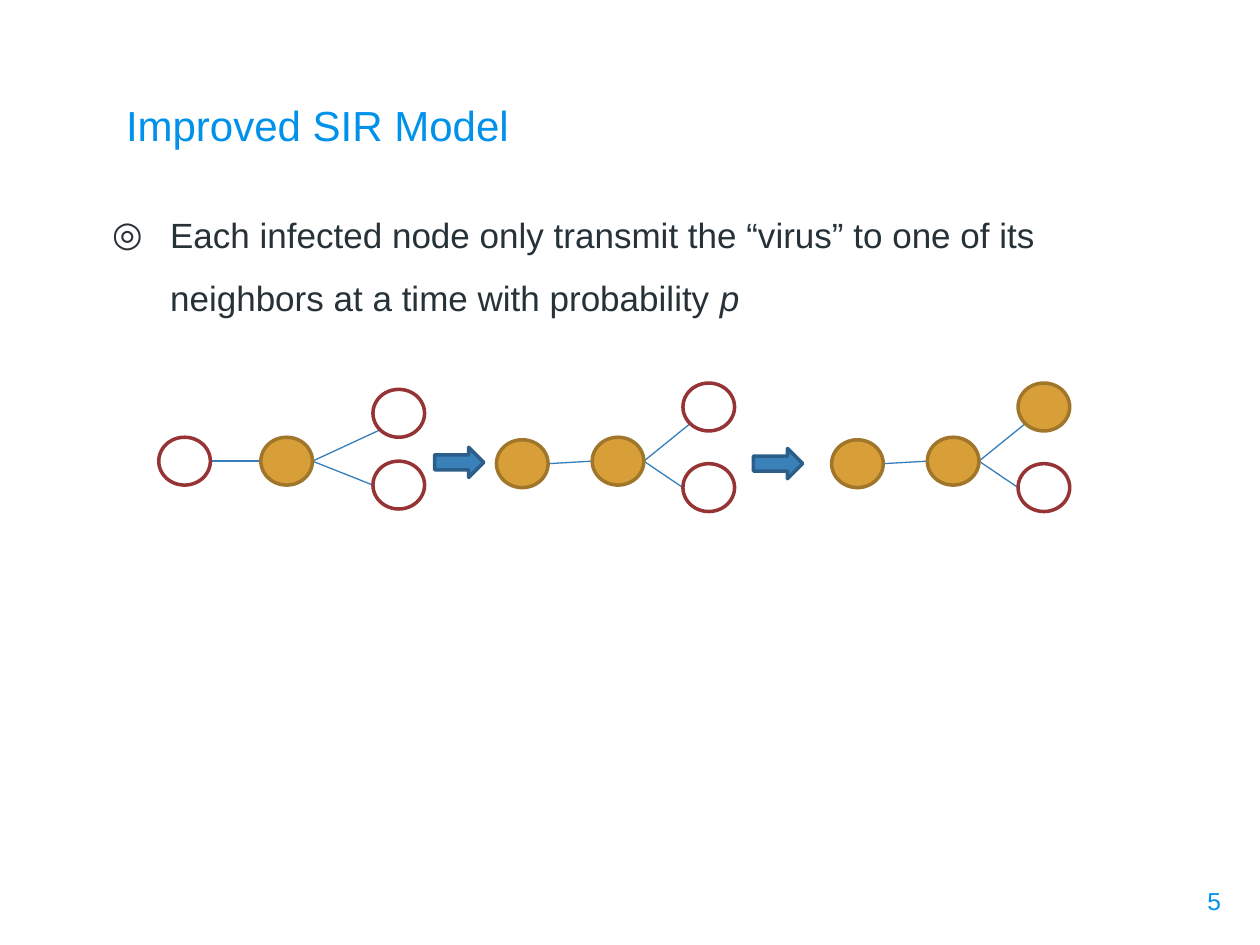
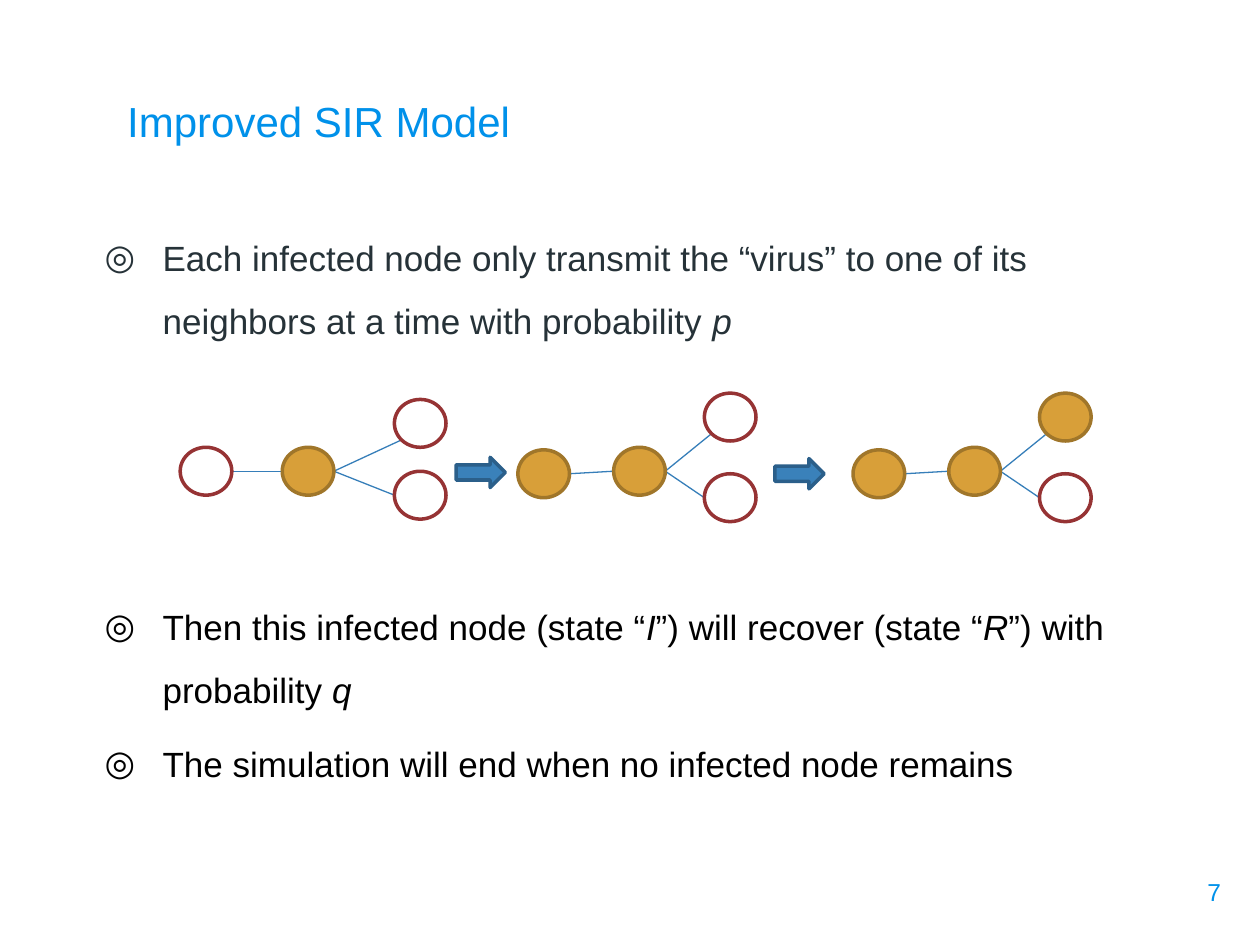
from dataclasses import dataclass

from lxml import etree
from pptx import Presentation
from pptx.dml.color import RGBColor
from pptx.enum import shapes, text
from pptx.oxml.ns import qn
from pptx.util import Inches, Pt


@dataclass(frozen=True)
class Theme:
    """Colours, font and sizes shared by the slides."""
    font: str = "Arial"
    blue: str = "0091EA"
    ink: str = "263238"
    black: str = "000000"
    edge: str = "367EB9"
    arrow: tuple = ("3A81BA", "2B5F8A")
    sick: tuple = ("D89F39", "A0762A")
    well: tuple = ("FFFFFF", "963334")
    title: int = 24
    body: int = 20
    page: int = 14
    wide: float = 0.41
    high: float = 0.38


T = Theme()
FORK = ((0, 0.43), (0.81, 0.43), (1.7, 0.05), (1.7, 0.62))
SPREAD = ((0, 0.45), (0.76, 0.43), (1.48, 0), (1.48, 0.64))
STAGES = ((0, FORK, {1}), (2.68, SPREAD, {0, 1}), (5.34, SPREAD, {0, 1, 2}))
ARROWS = ((2.19, 0.51), (4.72, 0.52))
RULE = "Each infected node only transmit the “virus” to one of its neighbors at a time with probability *p*"
RECOVER = "Then this infected node (state “*I*”) will recover (state “*R*”) with probability *q*"
FINISH = "The simulation will end when no infected node remains"


def rgb(code):
    """Turn a hex code into a colour."""
    return RGBColor.from_string(code)


def place(item, box):
    """Move an item to a box given in inches."""
    item.left, item.top, item.width, item.height = map(Inches, box)


def frame(item, anchor):
    """Prepare the text frame of an item."""
    tf = item.text_frame
    tf.word_wrap = True
    tf.auto_size = text.MSO_AUTO_SIZE.NONE
    tf.vertical_anchor = anchor
    tf.margin_left = tf.margin_right = tf.margin_top = tf.margin_bottom = Inches(0.1)
    return tf


def write(par, words, size, color, align=text.PP_ALIGN.LEFT, before=0, lines=1.0, mark=None):
    """Fill a paragraph, setting the words between asterisks in italics."""
    par.alignment = align
    par.space_before = Pt(before)
    par.line_spacing = lines
    for i, part in enumerate(words.split("*")):
        if part:
            run = par.add_run()
            run.text = part
            run.font.name, run.font.size = T.font, Pt(size)
            run.font.italic = i % 2 == 1
            run.font.color.rgb = rgb(color)
    if mark:
        props = par._p.get_or_add_pPr()
        props.set("marL", str(Inches(0.5)))
        props.set("indent", str(Inches(-0.46)))
        etree.SubElement(props, qn("a:buChar")).set("char", mark)


def shape(group, kind, box, paint):
    """Add a filled and outlined shape."""
    item = group.shapes.add_shape(kind, *map(Inches, box))
    item.shadow.inherit = False
    item.fill.solid()
    item.fill.fore_color.rgb = rgb(paint[0])
    item.line.color.rgb = rgb(paint[1])
    item.line.width = Pt(2)


def edge(group, start, end):
    """Add a thin line between two nodes."""
    line = group.shapes.add_connector(shapes.MSO_CONNECTOR.STRAIGHT, *map(Inches, start + end))
    line.line.color.rgb = rgb(T.edge)
    line.line.width = Pt(0.75)
    etree.SubElement(line._element.spPr, qn("a:effectLst"))


def stage(group, x, y, spots, sick):
    """Draw one state of the four-node network."""
    nodes = [(x + dx, y + dy) for dx, dy in spots]
    source, hub, upper, lower = nodes
    mid = T.high / 2
    out = (hub[0] + T.wide, hub[1] + mid)
    edge(group, (source[0] + T.wide, source[1] + mid), (hub[0], hub[1] + mid))
    edge(group, out, (upper[0] + 0.06, upper[1] + 0.32))
    edge(group, out, (lower[0], lower[1] + mid))
    for i, node in enumerate(nodes):
        shape(group, shapes.MSO_SHAPE.OVAL, (*node, T.wide, T.high), T.sick if i in sick else T.well)


def network(slide, x, y):
    """Draw the three states with arrows between them."""
    group = slide.shapes.add_group_shape()
    for dx, spots, sick in STAGES:
        stage(group, x + dx, y, spots, sick)
    for dx, dy in ARROWS:
        shape(group, shapes.MSO_SHAPE.RIGHT_ARROW, (x + dx, y + dy, 0.39, 0.24), T.arrow)


def heading(slide, box):
    """Set the slide title."""
    place(slide.shapes.title, box)
    tf = frame(slide.shapes.title, text.MSO_ANCHOR.BOTTOM)
    write(tf.paragraphs[0], "Improved SIR Model", T.title, T.blue)


def points(slide, box, items):
    """Fill the body with bulleted points."""
    body = slide.placeholders[1]
    place(body, box)
    tf = frame(body, text.MSO_ANCHOR.TOP)
    for i, (words, color, before) in enumerate(items):
        par = tf.add_paragraph() if i else tf.paragraphs[0]
        write(par, words, T.body, color, before=before, lines=1.5, mark="◎")


def number(slide, box, page):
    """Add the page number."""
    tf = frame(slide.shapes.add_textbox(*map(Inches, box)), text.MSO_ANCHOR.TOP)
    write(tf.paragraphs[0], page, T.page, T.blue, align=text.PP_ALIGN.RIGHT)


def model(deck, title, body, items, net, foot, page):
    """Build one model slide."""
    slide = deck.slides.add_slide(deck.slide_layouts[1])
    heading(slide, title)
    points(slide, body, items)
    number(slide, foot, page)
    network(slide, *net)


def main():
    """Build and save the slides."""
    deck = Presentation()
    deck.slide_width, deck.slide_height = Inches(10), Inches(7.5)
    rule = (RULE, T.ink, 6)
    model(deck, (0.9, 0.57, 8.28, 0.72), (0.75, 1.43, 8.71, 5.21), [rule],
          (1.26, 3.04), (9.19, 6.93, 0.6, 0.57), "5")
    model(deck, (0.91, 0.56, 8.28, 0.7), (0.69, 1.61, 8.71, 4.28),
          [rule, (RECOVER, T.black, 139), (FINISH, T.black, 6)],
          (1.43, 3.12), (9.43, 6.86, 0.36, 0.46), "7")
    deck.save("out.pptx")


if __name__ == "__main__":
    main()
